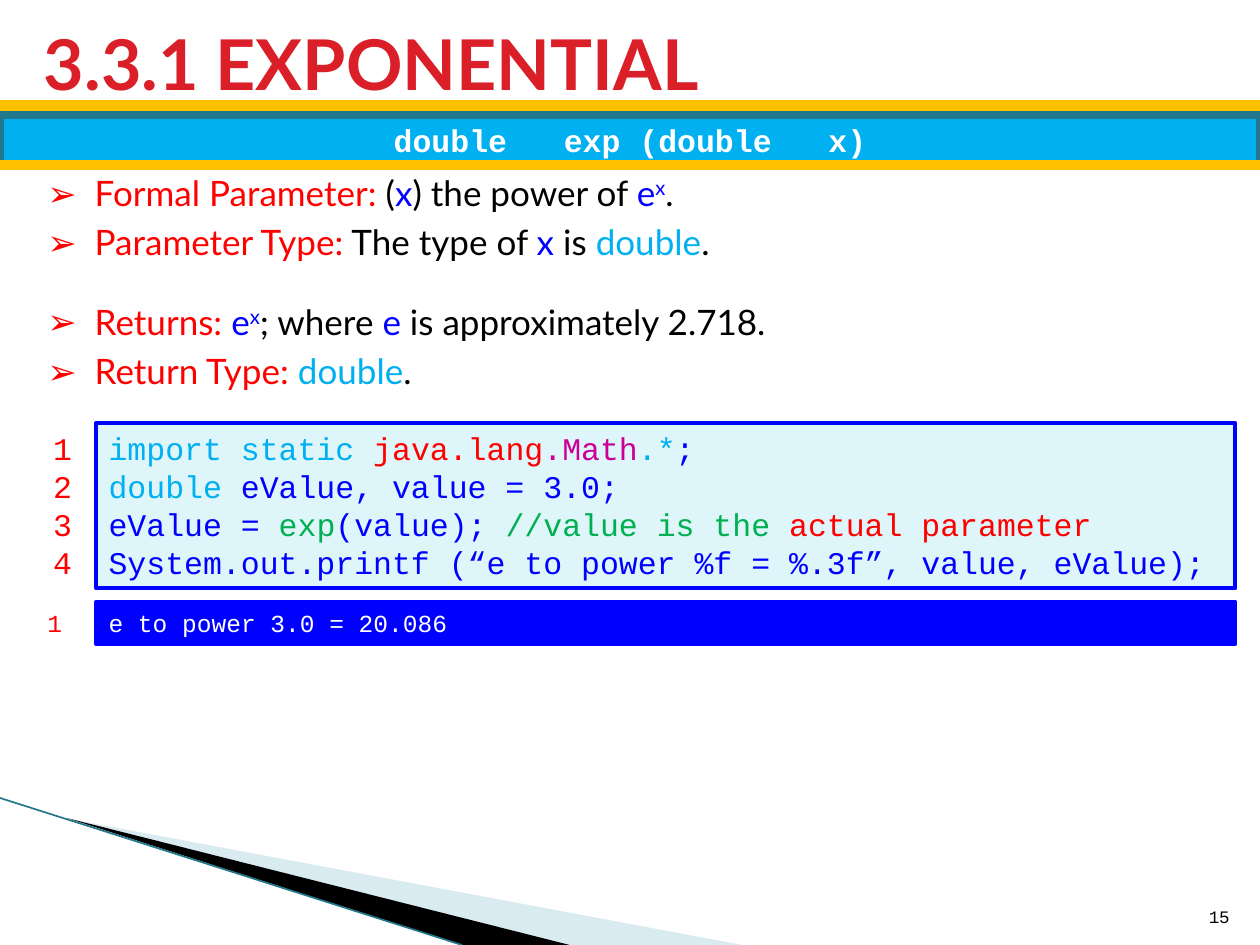
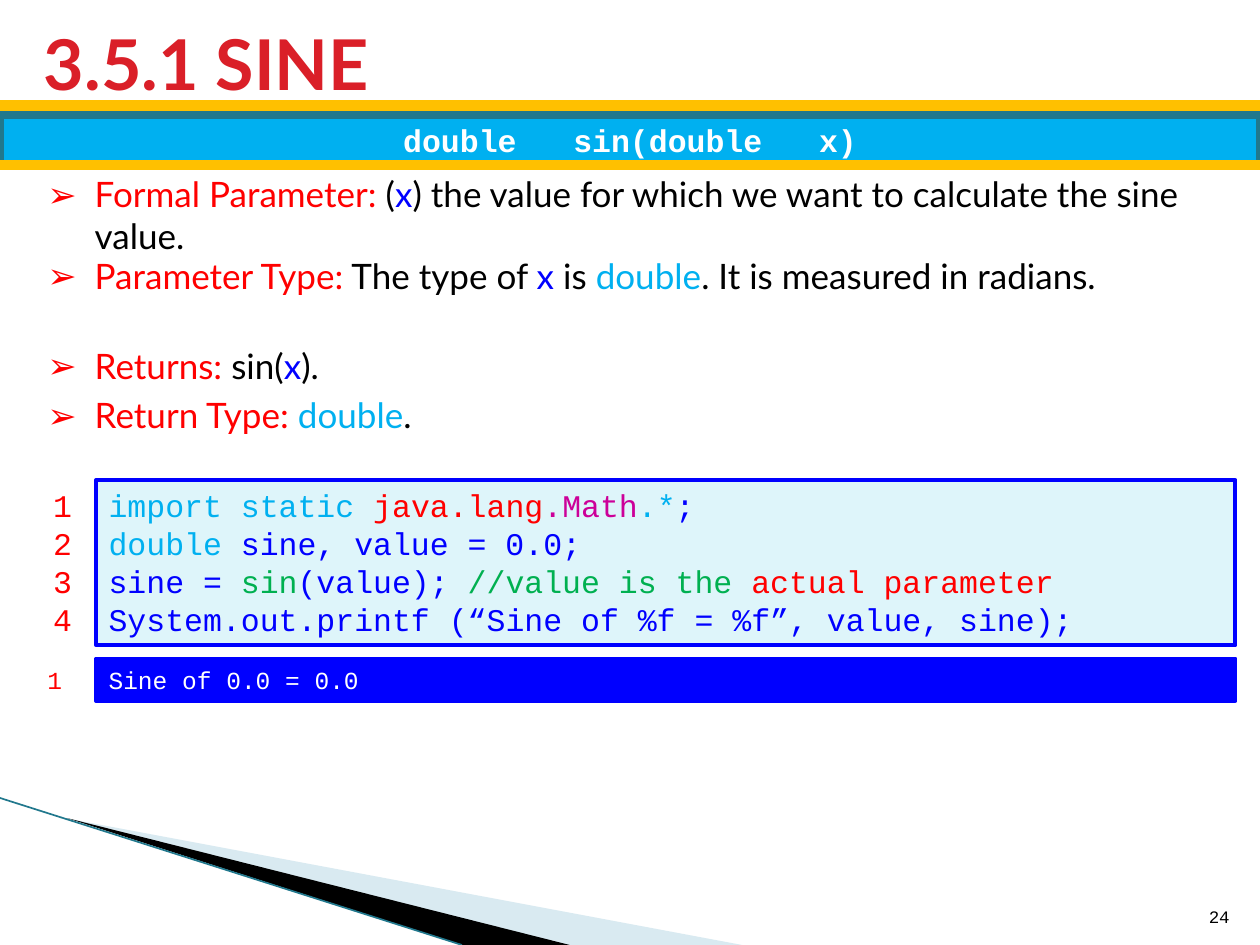
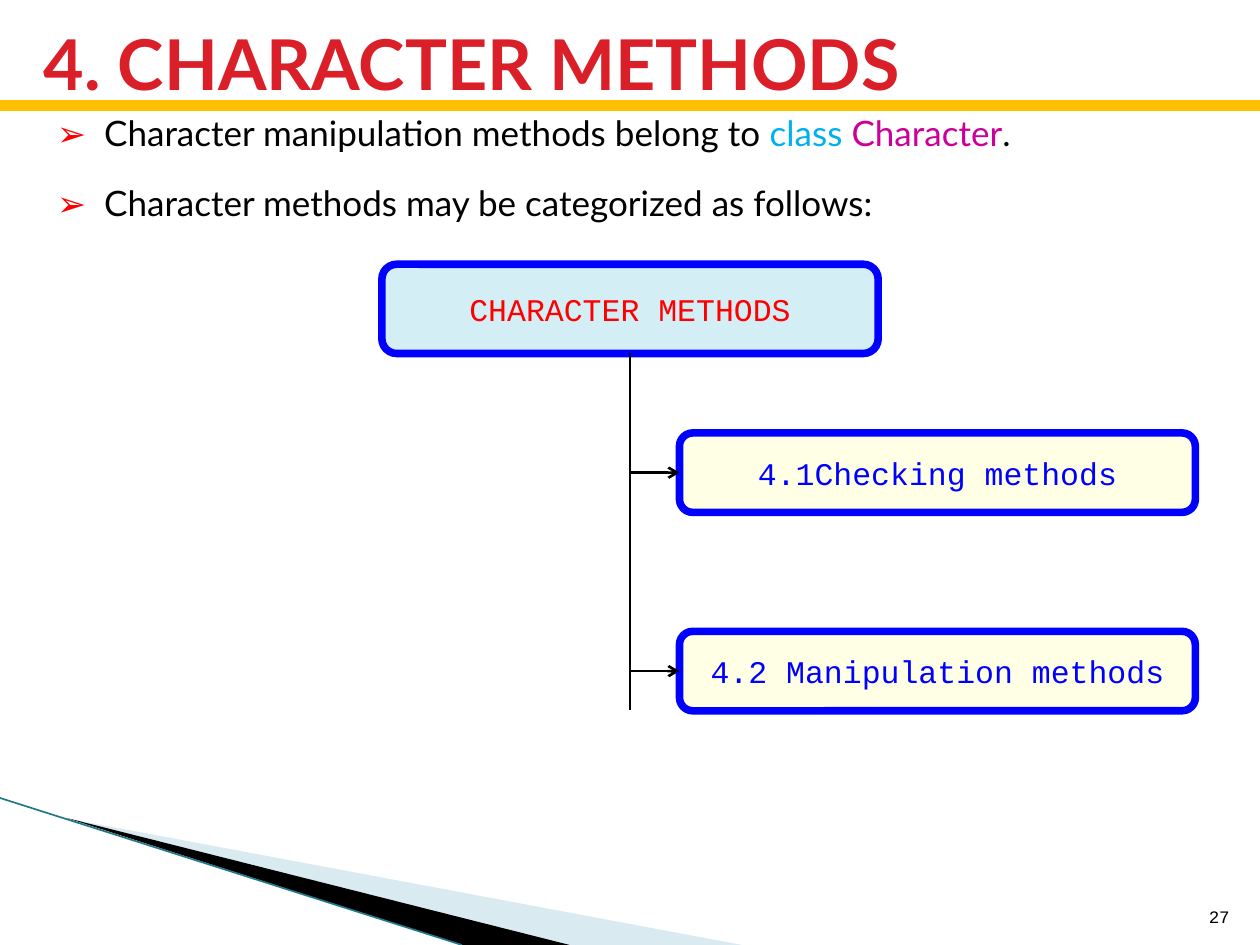
from lxml import etree
from pptx import Presentation
from pptx.dml.color import RGBColor
from pptx.enum.shapes import MSO_CONNECTOR, MSO_SHAPE
from pptx.enum.text import MSO_ANCHOR, PP_ALIGN
from pptx.oxml.ns import qn
from pptx.util import Pt

RECT = MSO_SHAPE.RECTANGLE
ROUND = MSO_SHAPE.ROUNDED_RECTANGLE
LINE = MSO_CONNECTOR.STRAIGHT
TOP = MSO_ANCHOR.TOP
MID = MSO_ANCHOR.MIDDLE
LOW = MSO_ANCHOR.BOTTOM
LEFT = PP_ALIGN.LEFT
MIDST = PP_ALIGN.CENTER
RIGHT = PP_ALIGN.RIGHT

SANS = "Lato"
MONO = "Courier New"
HUES = {
    "title": "DA1F28",
    "red": "FF0000",
    "blue": "0000FF",
    "sky": "00B0F0",
    "green": "00B050",
    "pink": "CC0099",
    "gold": "FFC000",
    "teal": "21788D",
    "black": "000000",
    "white": "FFFFFF",
    "mist": "A0CBDC",
    "code": "DEF5FA",
    "root": "D3EEF5",
    "leaf": "FFFFE5",
}
WIDE = 720
HIGH = 540
INDENT = 27
MONO_EM = 0.6


def hue(name):
    return RGBColor.from_string(HUES[name])


def child(node, tag, **attrs):
    return etree.SubElement(node, qn(tag), attrs)


def add_mark(para):
    props = para._p.get_or_add_pPr()
    props.set("marL", str(Pt(INDENT)))
    props.set("indent", str(-Pt(INDENT)))
    tint = child(props, "a:buClr")
    child(tint, "a:srgbClr", val=HUES["red"])
    child(props, "a:buFont", typeface=SANS)
    child(props, "a:buChar", char="➢")


def write(shape, lines, size=18, font=MONO, color="black", bold=False,
          align=LEFT, anchor=TOP, mark=False):
    frame = shape.text_frame
    frame.word_wrap = True
    frame.vertical_anchor = anchor
    for i, line in enumerate(lines):
        para = frame.paragraphs[0] if i == 0 else frame.add_paragraph()
        if mark:
            add_mark(para)
        para.alignment = align
        for part in [(line,)] if isinstance(line, str) else line:
            text, tint, *style = (*part, color) if len(part) == 1 else part
            run = para.add_run()
            run.text = text
            run.font.name = font
            run.font.size = Pt(size)
            run.font.bold = bold
            run.font.color.rgb = hue(tint)
            if "up" in style:
                run.font._element.set("baseline", "30000")
            if "gap" in style:
                run.font._element.set("spc", str(round(size * MONO_EM * 200)))


def add_text(slide, box, lines, **form):
    shape = slide.shapes.add_textbox(*map(Pt, box))
    write(shape, lines, **form)


def add_box(slide, kind, box, fill, edge, width, lines, **form):
    shape = slide.shapes.add_shape(kind, *map(Pt, box))
    shape.shadow.inherit = False
    shape.fill.solid()
    shape.fill.fore_color.rgb = hue(fill)
    shape.line.color.rgb = hue(edge)
    shape.line.width = Pt(width)
    write(shape, lines, **form)


def add_line(slide, start, end, color, width, arrow=False):
    line = slide.shapes.add_connector(LINE, *map(Pt, (*start, *end)))
    line.line.color.rgb = hue(color)
    line.line.width = Pt(width)
    if arrow:
        child(line.line._get_or_add_ln(), "a:tailEnd", type="arrow")
    child(line._element.spPr, "a:effectLst")


def add_wedge(slide, spots, color, alpha=None):
    first, *rest = [tuple(map(Pt, spot)) for spot in spots]
    path = slide.shapes.build_freeform(*first)
    path.add_line_segments(rest, close=True)
    shape = path.convert_to_shape()
    shape.shadow.inherit = False
    shape.fill.solid()
    shape.fill.fore_color.rgb = hue(color)
    shape.line.fill.background()
    if alpha:
        tint = shape._element.spPr.find(qn("a:solidFill"))[0]
        child(tint, "a:alpha", val=str(alpha * 1000))


def add_rule(slide, top):
    add_line(slide, (0, top), (WIDE, top), "gold", 6)


def add_point(slide, left, top, parts):
    add_text(slide, (left, top, 680, 32), [parts], size=20, font=SANS, mark=True)


def add_base(deck, title, page):
    slide = deck.slides.add_slide(deck.slide_layouts[6])
    add_wedge(slide, [(39.6, 468), (424, HIGH), (324, HIGH)], "mist", 40)
    add_wedge(slide, [(38.2, 467.5), (325.5, HIGH), (264, HIGH)], "black")
    add_line(slide, (0, 456), (264, HIGH), "teal", 0.95)
    add_text(slide, (18, 12.2, 682, 47), [title], size=40, font=SANS,
             color="title", bold=True, anchor=MID)
    add_rule(slide, 60.4)
    add_text(slide, (681, 504.5, 28.8, 28.8), [page], size=10,
             align=RIGHT, anchor=LOW)
    return slide


def add_head(slide, name):
    gap = (" ", "white", "gap")
    parts = [("double",), gap, (name + "(double",), gap, ("x)",)]
    add_box(slide, RECT, (0, 65.8, WIDE, 28.4), "sky", "teal", 4.33, [parts],
            color="white", bold=True, align=MIDST, anchor=MID)
    add_rule(slide, 94.4)


def add_code(slide, top, lines, result):
    high = 94.5
    add_box(slide, RECT, (55, top, 651, high), "code", "blue", 2.25, lines,
            color="blue")
    marks = [str(i + 1) for i in range(len(lines))]
    add_text(slide, (14.4, top, 33.8, high), marks, color="red", align=RIGHT)
    low = top + high + 7.5
    add_box(slide, RECT, (55, low, 651, 24.3), "blue", "blue", 2.25,
            [result], size=14, color="white")
    add_text(slide, (20, low, 19.4, 24.3), ["1"], size=14, color="red")


def add_method(deck, title, page, name, points, top, code, result):
    slide = add_base(deck, title, page)
    add_head(slide, name)
    for y, parts in points:
        add_point(slide, 20, y, parts)
    add_code(slide, top, code, result)


def code_for(call, var, value, form, args):
    return [
        [("import static ", "sky"), ("java.lang", "red"), (".Math", "pink"),
         (".*", "sky"), (";",)],
        [("double ", "sky"), (f"{var}, value = {value};",)],
        [(f"{var} = ",), (call, "green"), ("(value); ",),
         ("//value is the ", "green"), ("actual parameter", "red")],
        f"System.out.printf (“{form}”, {args});",
    ]


def type_of(tail):
    return [("Parameter Type:", "red"), (" The type of ",), ("x", "blue"),
            (" is ",), ("double", "sky"), (tail,)]


def formal(*tail):
    return [("Formal Parameter:", "red"), (" (",), ("x", "blue"), *tail]


def add_tree(slide):
    stem = 360
    add_box(slide, ROUND, (218.2, 151, 283.6, 51), "root", "blue", 4.33,
            ["CHARACTER METHODS"], color="red", align=MIDST, anchor=MID)
    add_line(slide, (stem, 202), (stem, 406), "black", 1.5)
    leaves = ["4.1Checking methods", "4.2 Manipulation methods"]
    for i, name in enumerate(leaves):
        top = 247.4 + i * 113.4
        add_box(slide, ROUND, (388.3, top, 294.8, 45.4), "leaf", "blue", 4.33,
                [name], color="blue", align=MIDST, anchor=MID)
        mid = top + 22.7
        add_line(slide, (stem, mid), (388.3, mid), "black", 1.5, arrow=True)


def main():
    deck = Presentation()
    deck.slide_width = Pt(WIDE)
    deck.slide_height = Pt(HIGH)
    power = [("e", "blue"), ("x", "blue", "up")]
    back = [("Return Type: ", "red"), ("double", "sky"), (".",)]

    add_method(
        deck, "3.3.1 EXPONENTIAL", "15", "exp ",
        [(94.4, formal((") the power of ",), *power, (".",))),
         (122.4, type_of(".")),
         (168, [("Returns: ", "red"), *power, ("; where ",), ("e", "blue"),
                (" is approximately 2.718.",)]),
         (196.3, back)],
        241.8,
        code_for("exp", "eValue", "3.0", "e to power %f = %.3f", "value, eValue"),
        "e to power 3.0 = 20.086")

    add_method(
        deck, "3.5.1 SINE", "24", "sin",
        [(95, formal((") the value for which we want to calculate the sine value.",))),
         (141.8, type_of(". It is measured in radians.")),
         (193.2, [("Returns:", "red"), (" sin(",), ("x", "blue"), (").",)]),
         (221.4, back)],
        274.3,
        code_for("sin", "sine", "0.0", "Sine of %f = %f", "value, sine"),
        "Sine of 0.0 = 0.0")

    slide = add_base(deck, "4. CHARACTER METHODS", "27")
    add_point(slide, 25.4, 60.3, [("Character manipulation methods belong to ",),
                                  ("class ", "sky"), ("Character", "pink"), (".",)])
    add_point(slide, 25.4, 100.2,
              [("Character methods may be categorized as follows:",)])
    add_tree(slide)
    deck.save("out.pptx")


if __name__ == "__main__":
    main()
